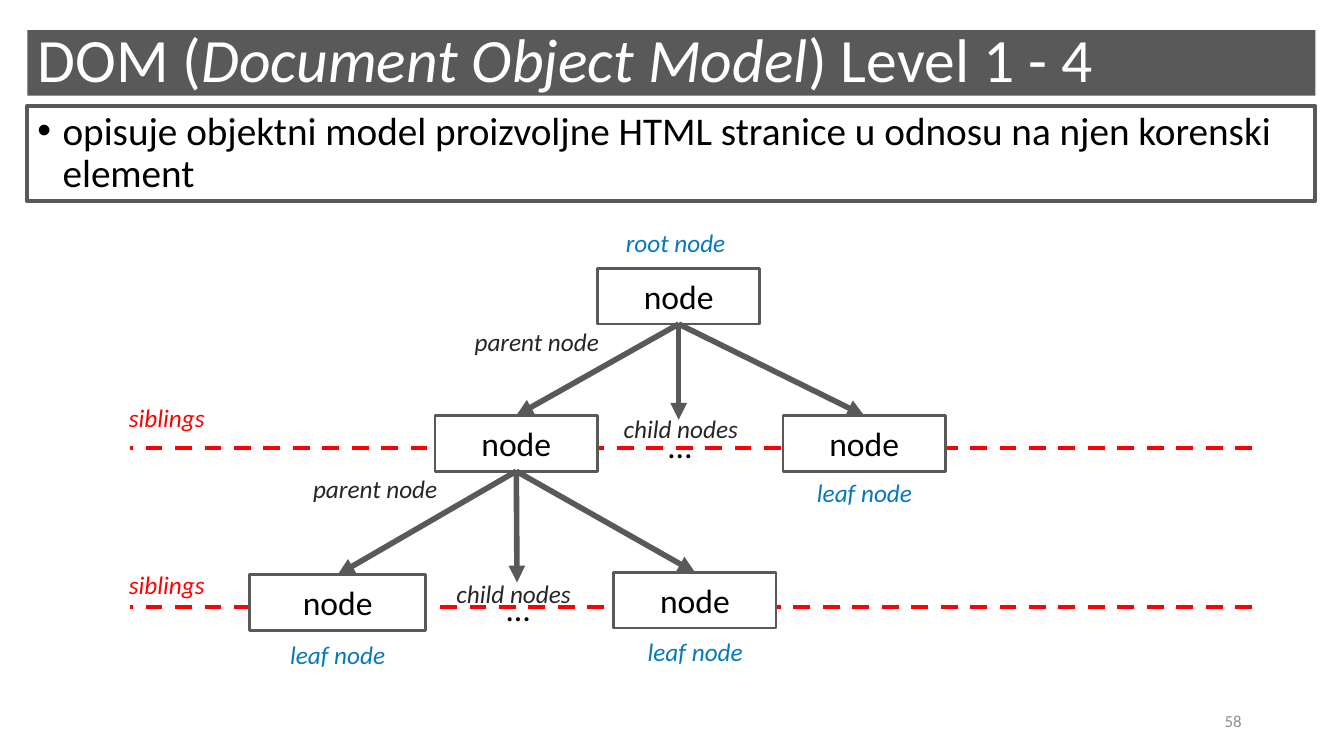
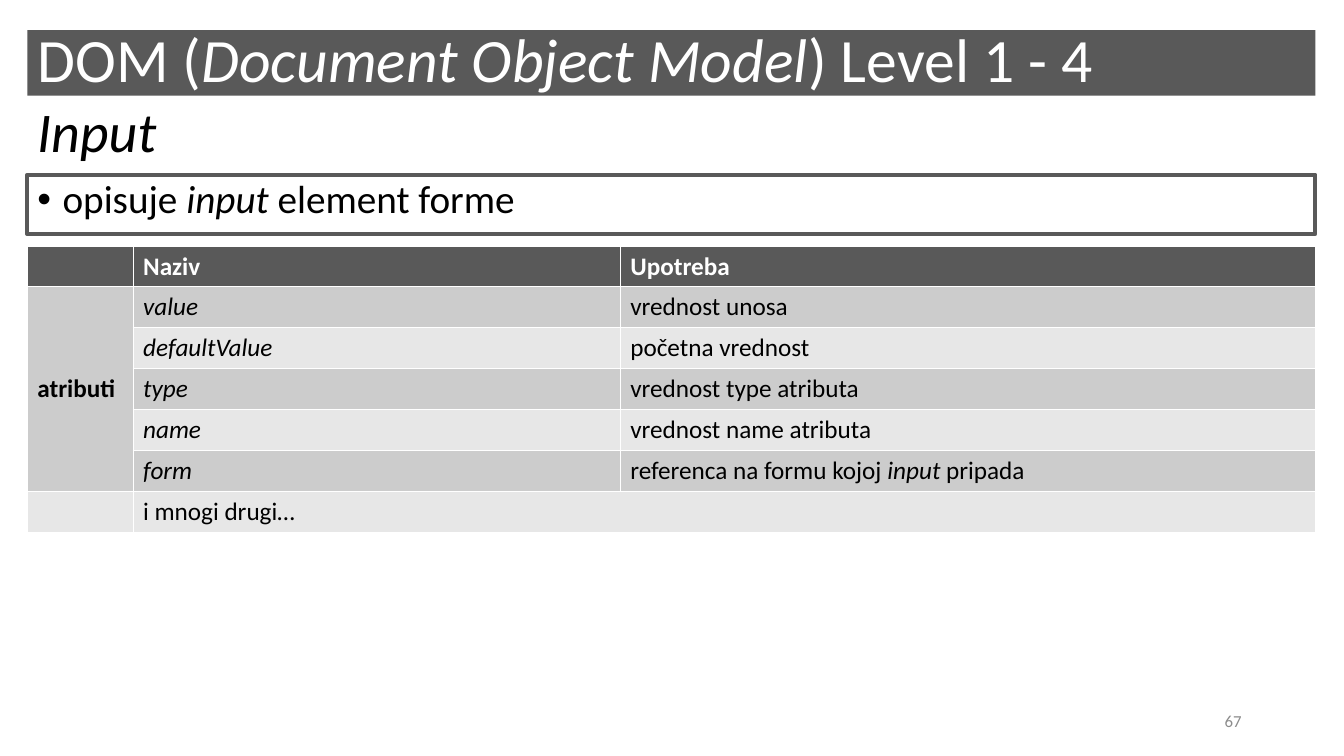
from dataclasses import dataclass

from lxml.etree import SubElement
from pptx import Presentation
from pptx.dml.color import RGBColor
from pptx.enum.dml import MSO_LINE
from pptx.enum.shapes import MSO_CONNECTOR, MSO_SHAPE
from pptx.enum.text import MSO_ANCHOR, MSO_AUTO_SIZE, PP_ALIGN
from pptx.oxml.ns import qn
from pptx.util import Pt


@dataclass(frozen=True)
class Theme:
    font: str = "Calibri"
    dark: str = "595959"
    white: str = "FFFFFF"
    black: str = "000000"
    role: str = "262626"
    blue: str = "0878BE"
    red: str = "FF0000"
    muted: str = "8C8C8C"
    bands: tuple = ("CCCCCC", "E7E7E7")
    title_size: int = 44
    subtitle_size: int = 40
    body_size: int = 28
    node_size: int = 24
    label_size: int = 18
    number_size: int = 12


THEME = Theme()
LEFT, WIDTH = 19.5, 920
BULLET_INDENT = 18

# Content: text between asterisks is italic
TITLE = "DOM (*Document Object Model*) Level 1 - 4"
MODEL_POINT = "opisuje objektni model proizvoljne HTML stranice u odnosu na njen korenski element"
INPUT_POINT = "opisuje *input* element forme"

# Tree: name -> centre x, top, width
NODE_HEIGHT = 39.8
NODES = {
    "root": (484.8, 191.7, 116),
    "left": (368.8, 296.8, 116),
    "right": (617.3, 296.8, 116),
    "left leaf": (241.2, 410.5, 125.5),
    "right leaf": (496.4, 408.8, 116),
}
MORE_SIZE = (29, 36)
MORE = {"more children": (484.8, 299.8), "more leaves": (369.3, 416)}
EDGES = {
    "root": ("left", "more children", "right"),
    "left": ("left leaf", "more leaves", "right leaf"),
}
SIBLING_LINES = (319.8, 433.8)
SIBLING_SPAN = (93, 894.3)
LABEL_HEIGHT = 29
LABELS = {  # text -> colour, width, places
    "root node": (THEME.blue, 89, [(440, 158.7)]),
    "parent node": (THEME.role, 106, [(331.9, 229.5), (216.5, 334.5)]),
    "child nodes": (THEME.role, 102, [(438.4, 292), (319, 409.2)]),
    "siblings": (THEME.red, 72, [(85, 283.5), (85, 403.3)]),
    "leaf node": (THEME.blue, 86, [(576.5, 337.3), (200.2, 453.2), (455.6, 450.8)]),
}

# Table
COLUMNS = (75.6, 348, 496.4)
ROW_HEIGHT = 28.8
HEADER = ("", "Naziv", "Upotreba")
GROUP = "atributi"
ATTRIBUTES = [
    ("*value*", "vrednost unosa"),
    ("*defaultValue*", "početna vrednost"),
    ("*type*", "vrednost type atributa"),
    ("*name*", "vrednost name atributa"),
    ("*form*", "referenca na formu kojoj *input* pripada"),
]
REMAINDER = "i mnogi drugi…"


def color(code):
    return RGBColor.from_string(code)


def write(para, text, size, code, bold=False, align=PP_ALIGN.LEFT):
    para.alignment = align
    for index, part in enumerate(text.split("*")):
        if part:
            span = para.add_run()
            span.text = part
            span.font.name = THEME.font
            span.font.size = Pt(size)
            span.font.color.rgb = color(code)
            span.font.bold = bold
            span.font.italic = index % 2 == 1


def place(shape, left, top, width, height):
    shape.left, shape.top = Pt(left), Pt(top)
    shape.width, shape.height = Pt(width), Pt(height)


def prepare(shape, anchor):
    frame = shape.text_frame
    frame.word_wrap = True
    frame.auto_size = MSO_AUTO_SIZE.NONE
    frame.vertical_anchor = anchor
    return frame.paragraphs[0]


def add_text(page, bounds, text, size, code, anchor=MSO_ANCHOR.MIDDLE, align=PP_ALIGN.LEFT):
    box = page.shapes.add_textbox(*map(Pt, bounds))
    para = prepare(box, anchor)
    write(para, text, size, code, align=align)
    return box


def add_line(page, start, end, code, weight):
    line = page.shapes.add_connector(MSO_CONNECTOR.STRAIGHT, *map(Pt, start + end))
    line.line.color.rgb = color(code)
    line.line.width = Pt(weight)
    SubElement(line._element.spPr, qn("a:effectLst"))
    return line


def add_page(deck, point, body_top, body_height, number):
    """Shared frame: title band, outlined bullet box and page number."""
    page = deck.slides.add_slide(deck.slide_layouts[1])
    title, body = page.placeholders[0], page.placeholders[1]

    place(title, LEFT, 21.6, WIDTH, 46.8)
    title.fill.solid()
    title.fill.fore_color.rgb = color(THEME.dark)
    para = prepare(title, MSO_ANCHOR.MIDDLE)
    para.line_spacing = 0.9
    write(para, TITLE, THEME.title_size, THEME.white)

    place(body, LEFT, body_top, WIDTH, body_height)
    body.line.color.rgb = color(THEME.dark)
    body.line.width = Pt(3)
    para = prepare(body, MSO_ANCHOR.TOP)
    properties = para._p.get_or_add_pPr()
    properties.set("marL", str(Pt(BULLET_INDENT)))
    properties.set("indent", str(-Pt(BULLET_INDENT)))
    SubElement(properties, qn("a:buChar"), char="•")
    para.line_spacing = 0.9
    para.space_before = Pt(0)
    write(para, point, THEME.body_size, THEME.black)

    add_text(page, (678, 500.5, 216, 28.8), number, THEME.number_size, THEME.muted,
             align=PP_ALIGN.RIGHT)
    return page


def add_node(page, center, top, width):
    node = page.shapes.add_shape(MSO_SHAPE.RECTANGLE, Pt(center - width / 2), Pt(top),
                                 Pt(width), Pt(NODE_HEIGHT))
    node.shadow.inherit = False
    node.fill.solid()
    node.fill.fore_color.rgb = color(THEME.white)
    node.line.color.rgb = color(THEME.dark)
    node.line.width = Pt(2)
    write(prepare(node, MSO_ANCHOR.MIDDLE), "node", THEME.node_size, THEME.black,
          align=PP_ALIGN.CENTER)
    return node


def add_tree(page):
    # Dashed sibling levels lie behind the nodes
    start, end = SIBLING_SPAN
    for level in SIBLING_LINES:
        line = add_line(page, (end, level), (start, level), THEME.red, 3)
        line.line.dash_style = MSO_LINE.DASH

    # Nodes and ellipses
    parts = {name: add_node(page, *spot) for name, spot in NODES.items()}
    width, height = MORE_SIZE
    for name, (center, top) in MORE.items():
        parts[name] = add_text(page, (center - width / 2, top, width, height), "…",
                               THEME.node_size, THEME.black)

    # Arrows from bottom centre of parent to top centre of child
    for parent, children in EDGES.items():
        for child in children:
            arrow = add_line(page, (0, 0), (0, 0), THEME.dark, 4)
            arrow.begin_connect(parts[parent], 2)
            arrow.end_connect(parts[child], 0)
            SubElement(arrow.line._get_or_add_ln(), qn("a:tailEnd"), type="triangle")

    # Role labels
    for text, (code, width, places) in LABELS.items():
        for left, top in places:
            add_text(page, (left, top, width, LABEL_HEIGHT), f"*{text}*",
                     THEME.label_size, code, MSO_ANCHOR.TOP)


def add_attribute_table(page):
    rows = [HEADER, *[("", *attribute) for attribute in ATTRIBUTES], ("", REMAINDER, "")]
    table = page.shapes.add_table(len(rows), len(COLUMNS), Pt(LEFT), Pt(175.7), Pt(WIDTH),
                                  Pt(ROW_HEIGHT * len(rows))).table
    for column, width in zip(table.columns, COLUMNS):
        column.width = Pt(width)
    for row_index, row in enumerate(rows):
        header = row_index == 0
        fill = THEME.dark if header else THEME.bands[(row_index - 1) % 2]
        for column_index, text in enumerate(row):
            cell = table.cell(row_index, column_index)
            cell.fill.solid()
            cell.fill.fore_color.rgb = color(fill)
            write(cell.text_frame.paragraphs[0], text, THEME.label_size,
                  THEME.white if header else THEME.black, bold=header)

    # Merged group name and closing row
    group, last = table.cell(1, 0), len(rows) - 1
    group.merge(table.cell(len(ATTRIBUTES), 0))
    group.vertical_anchor = MSO_ANCHOR.MIDDLE
    write(group.text_frame.paragraphs[0], GROUP, THEME.label_size, THEME.black, bold=True)
    table.cell(last, 1).merge(table.cell(last, 2))


def main():
    deck = Presentation()
    deck.slide_width, deck.slide_height = Pt(960), Pt(540)

    # Node tree
    page = add_page(deck, MODEL_POINT, 75.8, 67.7, "58")
    add_tree(page)

    # Input element
    page = add_page(deck, INPUT_POINT, 124.8, 42.3, "67")
    subtitle = add_text(page, (LEFT, 75.6, WIDTH, 41), "*Input*", THEME.subtitle_size, THEME.black)
    subtitle.text_frame.paragraphs[0].line_spacing = 0.9
    add_attribute_table(page)

    deck.save("out.pptx")


if __name__ == "__main__":
    main()
